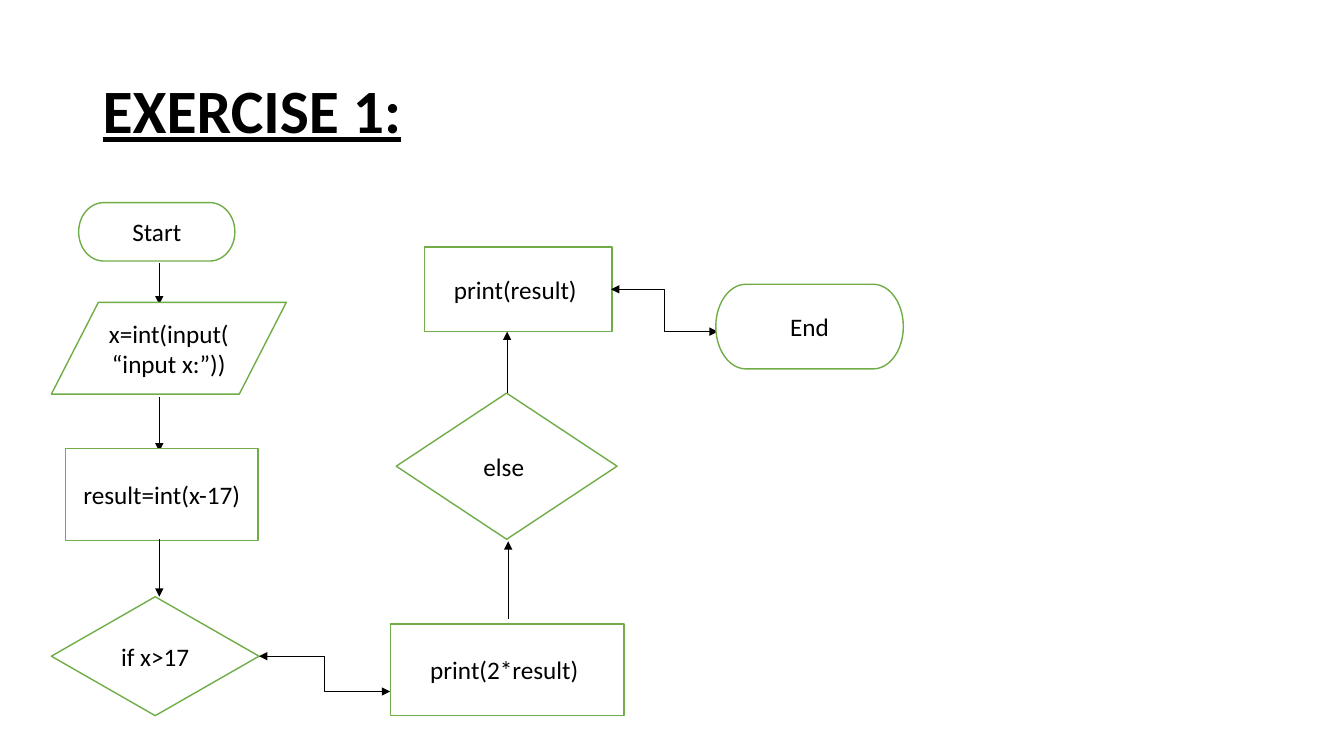
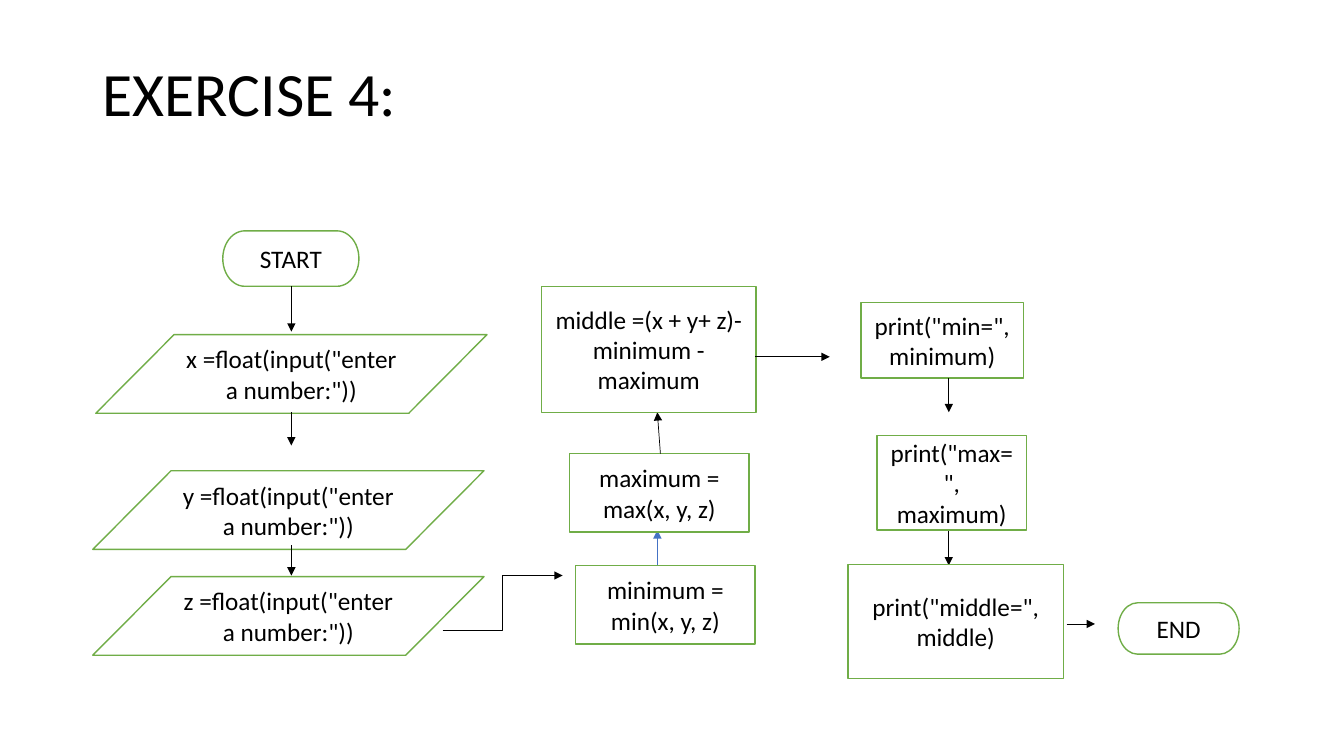
"""Build two flowchart slides for programming exercises."""
from lxml import etree
from pptx import Presentation
from pptx import util as u
from pptx.dml.color import RGBColor
from pptx.enum import shapes, text
from pptx.oxml import ns

COLORS = {"paper": "FFFFFF", "ink": "000000", "outline": "70AD47", "accent": "4472C4"}
RGB = {name: RGBColor.from_string(value) for name, value in COLORS.items()}
BODY_FONT = {"name": "Calibri", "size": u.Pt(18)}
TITLE_FONT = {"name": "Calibri", "size": u.Pt(44)}

TERMINAL = shapes.MSO_SHAPE.FLOWCHART_TERMINATOR
INPUT = shapes.MSO_SHAPE.FLOWCHART_DATA
PROCESS = shapes.MSO_SHAPE.FLOWCHART_PROCESS
DECISION = shapes.MSO_SHAPE.FLOWCHART_DECISION
BOX = shapes.MSO_SHAPE.RECTANGLE


def write(frame, wording, align, font_format):
    frame.word_wrap = True
    frame.vertical_anchor = text.MSO_ANCHOR.MIDDLE
    paragraph = frame.paragraphs[0]
    paragraph.alignment = align
    run = paragraph.add_run()
    run.text = wording
    for attribute, value in font_format.items():
        setattr(run.font, attribute, value)
    run.font.color.rgb = RGB["ink"]
    return paragraph


def draw_arrow(slide, points, color="ink", ends=("tailEnd",)):
    x1, y1, x2, y2 = points
    straight = x1 == x2 or y1 == y2 or abs(x2 - x1) < 0.1
    route = shapes.MSO_CONNECTOR.STRAIGHT if straight else shapes.MSO_CONNECTOR.ELBOW
    arrow = slide.shapes.add_connector(route, *map(u.Inches, points))
    arrow.line.color.rgb = RGB[color]
    arrow.line.width = u.Pt(0.5)
    properties = arrow._element.spPr
    outline = properties.find(ns.qn("a:ln"))
    for end in ends:
        etree.SubElement(outline, ns.qn(f"a:{end}"), type="triangle")
    etree.SubElement(properties, ns.qn("a:effectLst"))


BOTH_ENDS = {"ends": ("headEnd", "tailEnd")}
PROMPT = '{} =float(input("enter a number:"))'

exercises = [
    {
        "title": "EXERCISE 1:",
        "title_height": 1.45,
        "title_format": {"bold": True, "underline": True},
        "steps": [
            (TERMINAL, "Start", (0.78, 2.01, 1.55, 0.58), (1.58, 2.61, 1.58, 3.02), {}),
            (INPUT, "x=int(input(“input x:”))", (0.51, 3, 2.33, 0.91), (1.58, 3.94, 1.58, 4.48), {}),
            (PROCESS, "result=int(x-17)", (0.65, 4.45, 1.91, 0.91), (1.58, 5.35, 1.58, 5.92), {}),
            (DECISION, "if x>17", (0.51, 5.92, 2.06, 1.18), (2.57, 6.51, 3.87, 6.86), BOTH_ENDS),
            (PROCESS, "print(2*result) ", (3.87, 6.19, 2.32, 0.91), (5.04, 6.14, 5.04, 5.37), {}),
            (DECISION, "else ", (3.93, 3.9, 2.19, 1.45), (5.03, 3.9, 5.03, 3.29), {}),
            (PROCESS, "print(result) ", (4.21, 2.45, 1.86, 0.84), (6.06, 2.87, 7.12, 3.29), BOTH_ENDS),
            (TERMINAL, "End", (7.1, 2.82, 1.86, 0.84), None, {}),
        ],
    },
    {
        "title": "EXERCISE 4:",
        "title_height": 1.11,
        "title_format": {},
        "steps": [
            (TERMINAL, "START", (2.21, 2.29, 1.35, 0.55), (2.89, 2.84, 2.89, 3.29), {}),
            (INPUT, PROMPT.format("x"), (0.95, 3.32, 3.88, 0.78), (2.89, 4.09, 2.89, 4.42), {}),
            (INPUT, PROMPT.format("y"), (0.92, 4.67, 3.88, 0.78), (2.89, 5.41, 2.89, 5.71), {}),
            (INPUT, PROMPT.format("z"), (0.92, 5.72, 3.88, 0.78), (4.39, 6.25, 5.58, 5.71), {}),
            (BOX, "minimum = min(x, y, z)", (5.71, 5.61, 1.78, 0.78), (6.52, 5.61, 6.52, 5.26), {"color": "accent"}),
            (BOX, "maximum = max(x, y, z)", (5.65, 4.5, 1.78, 0.78), (6.55, 4.5, 6.52, 4.09), {}),
            (BOX, "middle =(x + y+ z)-minimum - maximum", (5.37, 2.84, 2.13, 1.25), (7.49, 3.54, 8.23, 3.54), {}),
            (BOX, 'print("min=", minimum)', (8.54, 3, 1.61, 0.75), (9.41, 3.75, 9.41, 4.09), {}),
            (BOX, 'print("max=", maximum)', (8.7, 4.32, 1.48, 0.94), (9.41, 5.27, 9.41, 5.61), {}),
            (BOX, 'print("middle=", middle)', (8.41, 5.6, 2.14, 1.13), (10.58, 6.19, 10.86, 6.19), {}),
            (TERMINAL, "END", (11.09, 5.98, 1.2, 0.51), None, {}),
        ],
    },
]

deck = Presentation()
deck.slide_width = u.Inches(13.33)
deck.slide_height = u.Inches(7.5)

for exercise in exercises:
    slide = deck.slides.add_slide(deck.slide_layouts[6])
    title_place = (0.92, 0.4, 11.5, exercise["title_height"])
    title = slide.shapes.add_textbox(*map(u.Inches, title_place))
    heading = write(title.text_frame, exercise["title"], text.PP_ALIGN.LEFT,
                    TITLE_FONT | exercise["title_format"])
    heading.line_spacing = 0.9

    for outline, wording, place, route, arrow_format in exercise["steps"]:
        step = slide.shapes.add_shape(outline, *map(u.Inches, place))
        step.shadow.inherit = False
        step.fill.solid()
        step.fill.fore_color.rgb = RGB["paper"]
        step.line.color.rgb = RGB["outline"]
        step.line.width = u.Pt(1)
        write(step.text_frame, wording, text.PP_ALIGN.CENTER, BODY_FONT)
        if route:
            draw_arrow(slide, route, **arrow_format)

deck.save("out.pptx")
